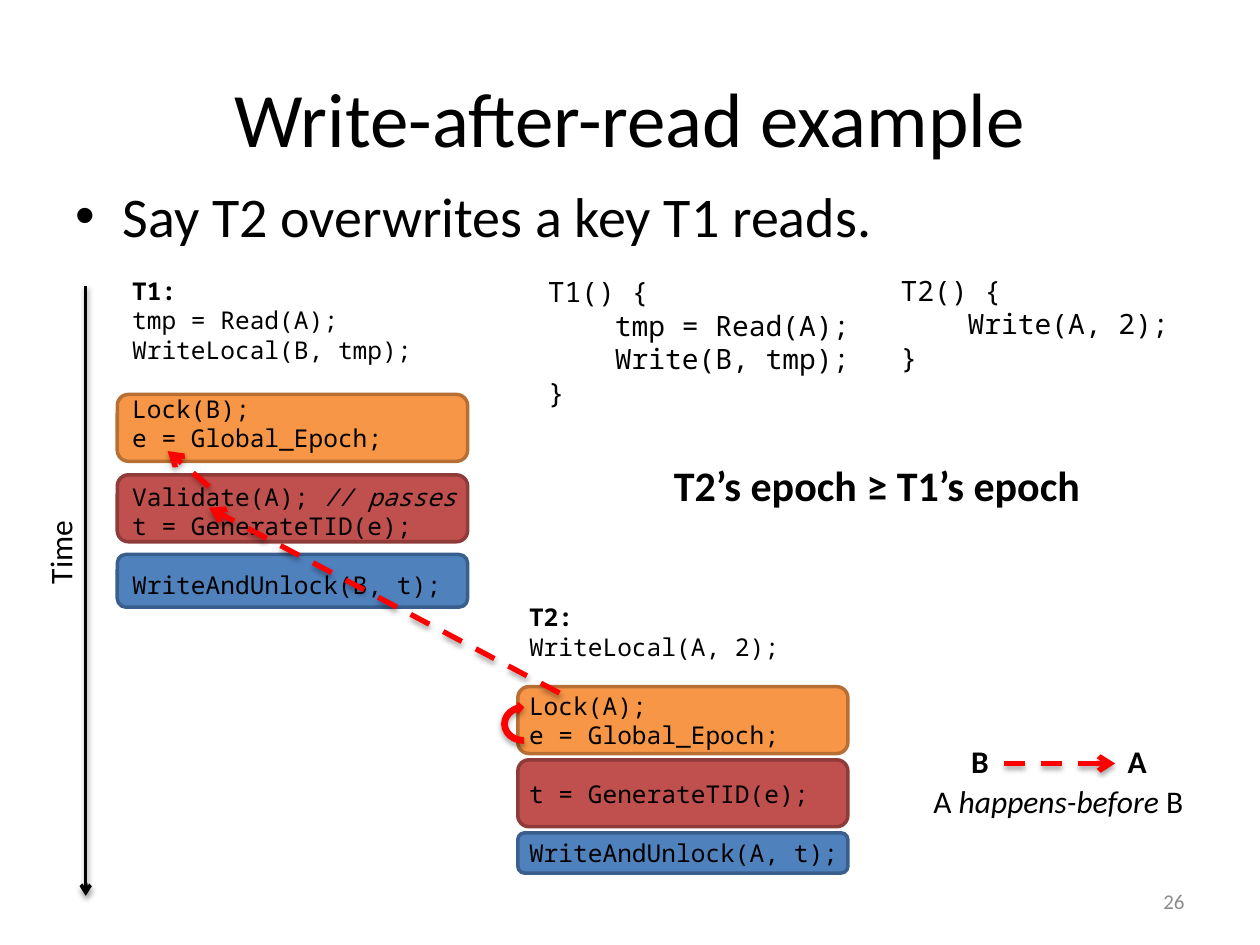
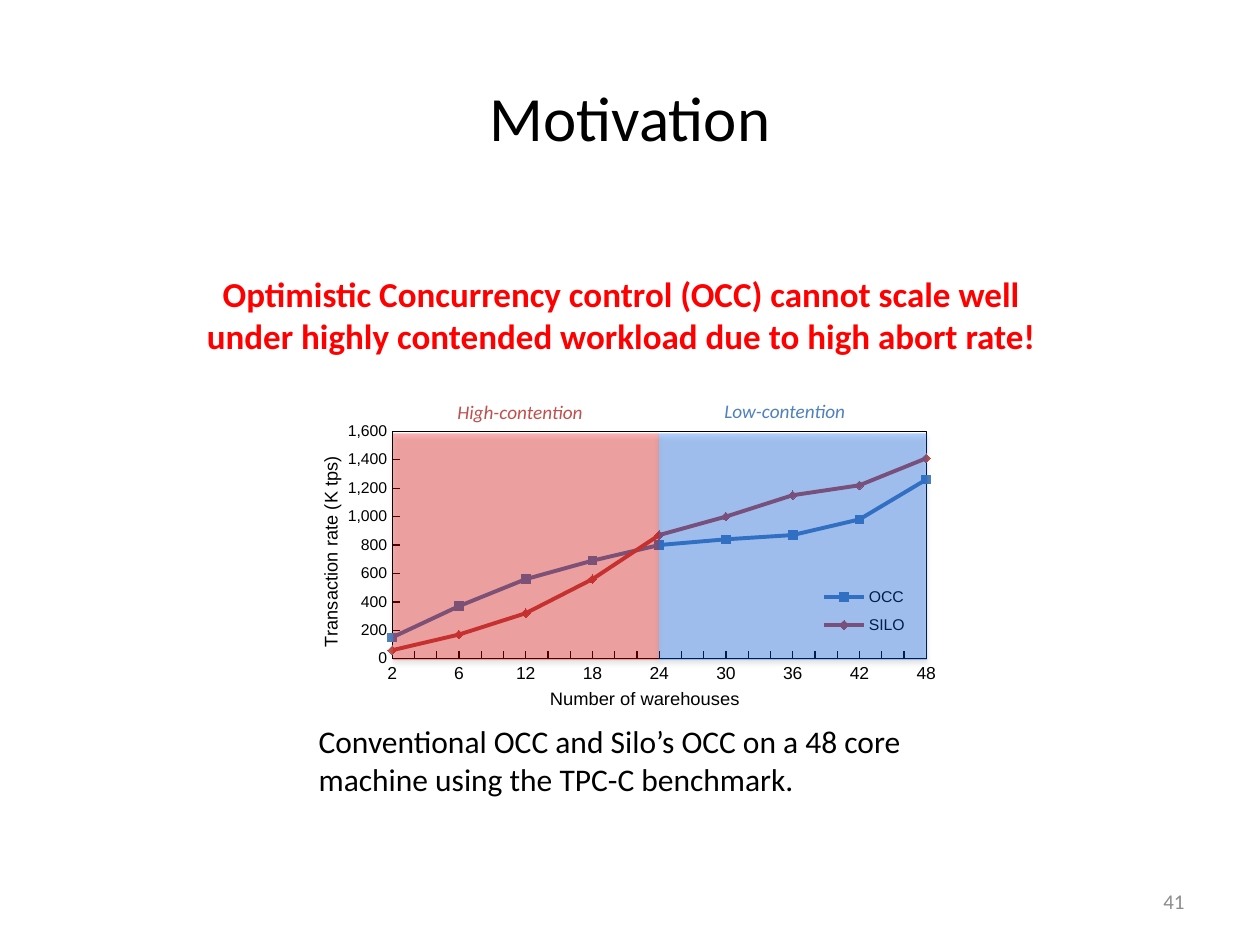
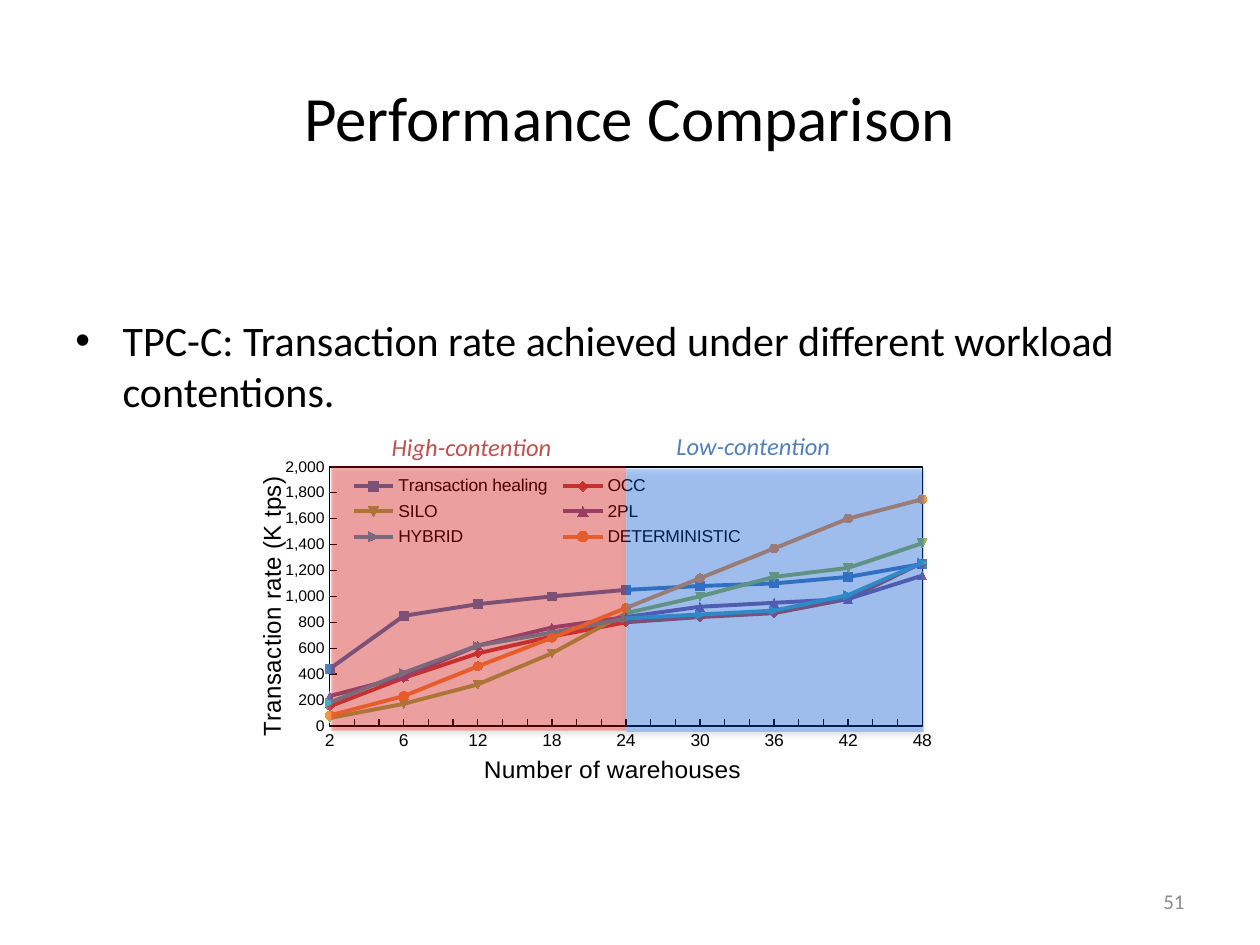
import lxml.etree as etree
import pptx
import pptx.chart.data
import pptx.dml.color
import pptx.enum.chart
import pptx.enum.dml
import pptx.enum.shapes
import pptx.enum.text
import pptx.oxml.ns
import pptx.util

Pt = pptx.util.Pt
RGB = pptx.dml.color.RGBColor
qn = pptx.oxml.ns.qn
Kind = pptx.enum.shapes.MSO_SHAPE
Side = pptx.enum.text.PP_ALIGN
Hold = pptx.enum.text.MSO_ANCHOR
Tick = pptx.enum.chart.XL_TICK_MARK

# Colours
BLACK = RGB(0, 0, 0)
GREY = RGB(0x8C, 0x8C, 0x8C)
HOT = RGB(0xFF, 0, 0)
COOL = RGB(0, 0x66, 0xFF)
BLUE = RGB(0x4F, 0x81, 0xBD)
RED = RGB(0xC0, 0x50, 0x4D)
GREEN = RGB(0x9B, 0xBB, 0x59)
PURPLE = RGB(0x80, 0x64, 0xA2)
TEAL = RGB(0x4B, 0xAC, 0xC6)
ORANGE = RGB(0xF7, 0x96, 0x46)
BARS = ((ORANGE, RGB(0xB7, 0x6F, 0x34)),
        (RED, RGB(0x8E, 0x3B, 0x39)),
        (BLUE, RGB(0x3A, 0x5F, 0x8C)))
HUES = (BLUE, RED, GREEN, PURPLE, TEAL, ORANGE)

# Fonts
SANS, MONO, PLOT = "Calibri", "Noto Sans Mono", "Arial"

# Chart data: one value per labelled category
STEPS = ("2", "6", "12", "18", "24", "30", "36", "42", "48")
OCC = (150, 370, 560, 690, 800, 840, 870, 980, 1260)
SILO = (60, 170, 320, 560, 870, 1000, 1150, 1220, 1410)
HEAL = (440, 850, 940, 1000, 1050, 1080, 1100, 1150, 1250)
LOCK = (230, 380, 620, 760, 840, 920, 950, 980, 1160)
HYBRID = (180, 410, 620, 720, 830, 860, 890, 1010, 1260)
FIXED = (80, 230, 460, 680, 910, 1140, 1370, 1600, 1750)


def add(node, tag, **attrs):
    return etree.SubElement(node, qn(tag), attrs)


def spread(items, blank):
    """Put two blanks between neighbouring items."""
    row = [blank] * (3 * len(items) - 2)
    row[::3] = items
    return row


def force(node, tag, val, after):
    """Set a chart option, placed right behind a given sibling."""
    for old in node.findall(qn(tag)):
        node.remove(old)
    node.find(qn(after)).addnext(etree.Element(qn(tag), val=val))


def place(node, index, *spot):
    """Give a chart part a manual layout: x, y and perhaps w, h."""
    for old in node.findall(qn("c:layout")):
        node.remove(old)
    layout = etree.Element(qn("c:layout"))
    node.insert(index, layout)
    manual = add(layout, "c:manualLayout")
    if node.tag == qn("c:plotArea"):
        add(manual, "c:layoutTarget", val="inner")
    for name in "xMode", "yMode":
        add(manual, "c:" + name, val="edge")
    for name, part in zip("xywh", spot):
        add(manual, "c:" + name, val=str(part))


def style(font, size, color=BLACK, face=PLOT):
    font.size, font.name, font.bold = Pt(size), face, False
    font.color.rgb = color


class Deck:
    def __init__(self):
        self.prs = pptx.Presentation()
        self.prs.slide_width, self.prs.slide_height = Pt(720), Pt(540)
        self.slide = None

    def page(self, title, size, number):
        self.slide = self.prs.slides.add_slide(self.prs.slide_layouts[6])
        self.text((36, 21.6, 648, 90), [title], size, align=Side.CENTER,
                  anchor=Hold.MIDDLE)
        self.text((516.2, 500.4, 167.8, 28.8), [number], 12, GREY,
                  align=Side.RIGHT, anchor=Hold.MIDDLE)

    def text(self, box, lines, size, color=BLACK, face=SANS, bold=False,
             italic=False, align=Side.LEFT, anchor=Hold.TOP, wrap=True):
        """A line is a string, or a tuple whose second run is italic."""
        shape = self.slide.shapes.add_textbox(*map(Pt, box))
        frame = shape.text_frame
        frame.word_wrap, frame.vertical_anchor = wrap, anchor
        for row, line in enumerate(lines):
            para = frame.add_paragraph() if row else frame.paragraphs[0]
            para.alignment = align
            parts = (line,) if isinstance(line, str) else line
            para.text = parts[0]
            for part in parts[1:]:
                para.add_run().text = part
            for spot, run in enumerate(para.runs):
                style(run.font, size, color, face)
                run.font.bold = bold
                run.font.italic = italic or spot == 1
        return shape

    def bullet(self, box, line, size):
        para = self.text(box, [line], size).text_frame.paragraphs[0]
        props = para._p.get_or_add_pPr()
        props.set("marL", str(Pt(27)))
        props.set("indent", str(-Pt(27)))
        add(props, "a:buFont", typeface="Arial")
        add(props, "a:buChar", char="•")

    def code(self, box, blocks):
        """Blocks of code, one line apart, under a bold first line."""
        lines = [line for block in blocks for line in block]
        paras = self.text(box, lines, 14, face=MONO).text_frame.paragraphs
        paras[0].runs[0].font.bold = True
        row = 0
        for block in blocks[:-1]:
            row += len(block)
            paras[row].space_before = Pt(16.8)

    def shade(self, shape, alpha=35):
        props = shape._element.spPr
        effect = props.find(qn("a:effectLst"))
        if effect is None:
            effect = add(props, "a:effectLst")
        cast = add(effect, "a:outerShdw", blurRad=str(Pt(3.1)),
                   dist=str(Pt(1.8)), dir="5400000", rotWithShape="0")
        tint = add(cast, "a:srgbClr", val="000000")
        add(tint, "a:alpha", val=str(alpha * 1000))

    def shape(self, kind, box, fill, edge=None, width=2):
        shape = self.slide.shapes.add_shape(kind, *map(Pt, box))
        shape.shadow.inherit = False
        shape.fill.solid()
        shape.fill.fore_color.rgb = fill
        if edge is None:
            shape.line.fill.background()
        else:
            shape.line.color.rgb = edge
            shape.line.width = Pt(width)
        return shape

    def bars(self, left, width, spans):
        for (fill, edge), (top, height) in zip(BARS, spans):
            self.shape(Kind.ROUNDED_RECTANGLE, (left, top, width, height),
                       fill, edge)

    def arrow(self, ends, color=HOT, width=3, dash=True, alpha=35):
        link = self.slide.shapes.add_connector(
            pptx.enum.shapes.MSO_CONNECTOR.STRAIGHT, *map(Pt, ends))
        link.line.color.rgb = color
        link.line.width = Pt(width)
        if dash:
            link.line.dash_style = pptx.enum.dml.MSO_LINE.DASH
        add(link.line._get_or_add_ln(), "a:tailEnd", type="arrow")
        self.shade(link, alpha)

    def zone(self, box, fill, label, spot, color, size):
        """A clear tint over half of a plot, with its label."""
        shape = self.shape(Kind.RECTANGLE, box, fill)
        tint = shape._element.spPr.find(qn("a:solidFill"))[0]
        add(tint, "a:alpha", val="30000")
        self.shade(shape)
        self.text(spot, [label], size, color, italic=True, wrap=False)

    def axis(self, axis, title, size, spot, tick):
        axis.has_major_gridlines = False
        axis.major_tick_mark, axis.minor_tick_mark = Tick.INSIDE, Tick.NONE
        axis.format.line.color.rgb = BLACK
        axis.format.line.width = Pt(0.75)
        style(axis.tick_labels.font, tick)
        name = axis.axis_title
        name.text_frame.text = title
        style(name.text_frame.paragraphs[0].runs[0].font, size)
        place(name._element, 1, *spot)
        return name.text_frame

    def chart(self, box, rows, top, size, spots, key, small):
        data = pptx.chart.data.CategoryChartData(number_format="General")
        data.categories = spread(STEPS, "")
        for name, vals in rows:
            data.add_series(name, spread(vals, None))
        chart = self.slide.shapes.add_chart(
            pptx.enum.chart.XL_CHART_TYPE.LINE_MARKERS,
            *map(Pt, box), data).chart
        chart.has_title = False
        style(chart.font, 10)

        # Axes
        cat, val = chart.category_axis, chart.value_axis
        self.axis(cat, "Number of warehouses", size, spots[0], 10)
        frame = self.axis(val, "Transaction rate (K tps)", size, spots[1], 9)
        frame._txBody.bodyPr.set("rot", "-5400000")
        val.minimum_scale, val.maximum_scale, val.major_unit = 0, top, 200
        val.tick_labels.number_format = "#,##0"
        val.tick_labels.number_format_is_linked = False
        force(val._element, "c:crossBetween", "midCat", "c:crosses")
        force(cat._element, "c:tickLblSkip", "1", "c:lblOffset")

        # Plot frame, with lines drawn across the blanks
        root = chart._chartSpace.chart
        force(root, "c:dispBlanksAs", "span", "c:plotVisOnly")
        area = root.plotArea
        place(area, 0, 0.13, 0.069, 0.831, 0.761)
        edge = add(add(area, "c:spPr"), "a:ln", w=str(Pt(0.75)))
        add(add(edge, "a:solidFill"), "a:srgbClr", val=str(BLACK))

        # Series
        chart.plots[0].vary_by_categories = False
        for line, hue in zip(chart.plots[0].series, HUES):
            line.smooth = False
            line.format.line.color.rgb = hue
            line.format.line.width = Pt(2.25)
            mark = line.marker
            if line.name == "DETERMINISTIC":
                mark.style = pptx.enum.chart.XL_MARKER_STYLE.CIRCLE
                mark.size = 5
            mark.format.fill.solid()
            mark.format.fill.fore_color.rgb = hue
            mark.format.line.color.rgb = hue

        # Legend
        chart.has_legend = True
        chart.legend.position = pptx.enum.chart.XL_LEGEND_POSITION.TOP
        chart.legend.include_in_layout = True
        style(chart.legend.font, small)
        place(chart.legend._element, 1, *key)


def order(deck):
    deck.page("Write-after-read example", 44, "26")
    deck.bullet((36, 100, 648, 356.4), "Say T2 overwrites a key T1 reads.", 32)

    # Steps of both transactions
    deck.bars(295.9, 188.6, ((392.4, 38.2), (434.2, 38.2), (475.9, 23)))
    deck.code((295.2, 340.6, 202.3, 159.8), (
        ("T2:", "WriteLocal(A, 2);"),
        ("Lock(A);", "e = Global_Epoch;"),
        ("t = GenerateTID(e);",),
        ("WriteAndUnlock(A, t);",)))
    deck.bars(67, 200.2, ((225.4, 38.2), (271.4, 38.2), (316.8, 30.2)))
    deck.code((68.4, 154.1, 251.3, 193.7), (
        ("T1:", "tmp = Read(A);", "WriteLocal(B, tmp);"),
        ("Lock(B);", "e = Global_Epoch;"),
        (("Validate(A); ", "// passes"), "t = GenerateTID(e);"),
        ("WriteAndUnlock(B, t);",)))

    # Order between the steps
    deck.arrow((119.5, 278, 95.8, 257.8))
    deck.arrow((319.7, 396, 119.5, 290.2))
    deck.text((378, 259.2, 252, 36), ["T2’s epoch ≥ T1’s epoch"], 24,
              bold=True, wrap=False)
    loop = deck.shape(Kind.CIRCULAR_ARROW, (286.6, 399.6, 25.2, 28.1),
                      HOT, HOT, 0.75)
    loop.rotation = 270
    deck.shade(loop)

    # Time line
    deck.arrow((49, 163.4, 49, 511.9), BLACK, 2, False, 38)
    time = deck.text((8.6, 301, 51.1, 28.8), ["Time"], 18, wrap=False)
    time.rotation = 270

    # Source of both transactions
    deck.text((507.6, 152.6, 169.9, 65.5),
              ["T2() {", "    Write(A, 2);", "}"], 16, face=MONO, wrap=False)
    deck.text((306, 153.4, 189.4, 85),
              ["T1() {", "    tmp = Read(A);", "    Write(B, tmp);", "}"],
              16, face=MONO, wrap=False)

    # Key
    deck.arrow((573.8, 436.3, 637.2, 436.3))
    for left, name in (547.9, "B"), (637.2, "A"):
        deck.text((left, 420.5, 25.2, 28.8), [name], 18, bold=True, wrap=False)
    deck.text((526.3, 443.5, 161.3, 28.8), [("A ", "happens-before ", "B")],
              18, wrap=False)


def motive(deck):
    deck.page("Motivation", 36, "41")
    deck.text((110.2, 151.9, 489.6, 55.4),
              ["Optimistic Concurrency control (OCC) cannot scale well under "
               "highly contended workload due to high abort rate!"],
              20, HOT, bold=True, align=Side.CENTER)
    deck.text((175, 409, 388, 51.1),
              ["Conventional OCC and Silo’s OCC on a 48 core machine using "
               "the TPC-C benchmark."], 18)
    deck.chart((176.4, 234.7, 367.2, 173.5), (("OCC", OCC), ("SILO", SILO)),
               1600, 10.5, ((0.37, 0.91), (0.01, 0.15)),
               (0.79, 0.56, 0.15, 0.22), 9)
    deck.zone((224.6, 247.7, 151.9, 129.6), HOT, "High-contention",
              (254.2, 225.4, 87.1, 20.9), RED, 11)
    deck.zone((376.5, 247.7, 153.4, 129.6), COOL, "Low-contention",
              (406.8, 224.6, 84.2, 20.9), BLUE, 11)


def compare(deck):
    deck.page("Performance Comparison", 36, "51")
    deck.bullet((36, 176.4, 648, 267.1),
                "TPC-C: Transaction rate achieved under different workload "
                "contentions.", 24)
    deck.chart((135.4, 253.4, 407.5, 198.7),
               (("Transaction healing", HEAL), ("OCC", OCC), ("SILO", SILO),
                ("2PL", LOCK), ("HYBRID", HYBRID), ("DETERMINISTIC", FIXED)),
               2000, 14, ((0.34, 0.9), (0.02, 0.1)),
               (0.15, 0.08, 0.57, 0.24), 10)
    deck.zone((189.4, 266.4, 168.5, 151.2), HOT, "High-contention",
              (216.7, 243.4, 106.6, 24.5), RED, 14)
    deck.zone((357.9, 267.8, 169.9, 150.5), COOL, "Low-contention",
              (379.4, 242.6, 103, 24.5), BLUE, 14)


def main():
    deck = Deck()
    order(deck)
    motive(deck)
    compare(deck)
    deck.prs.save("out.pptx")


if __name__ == "__main__":
    main()
